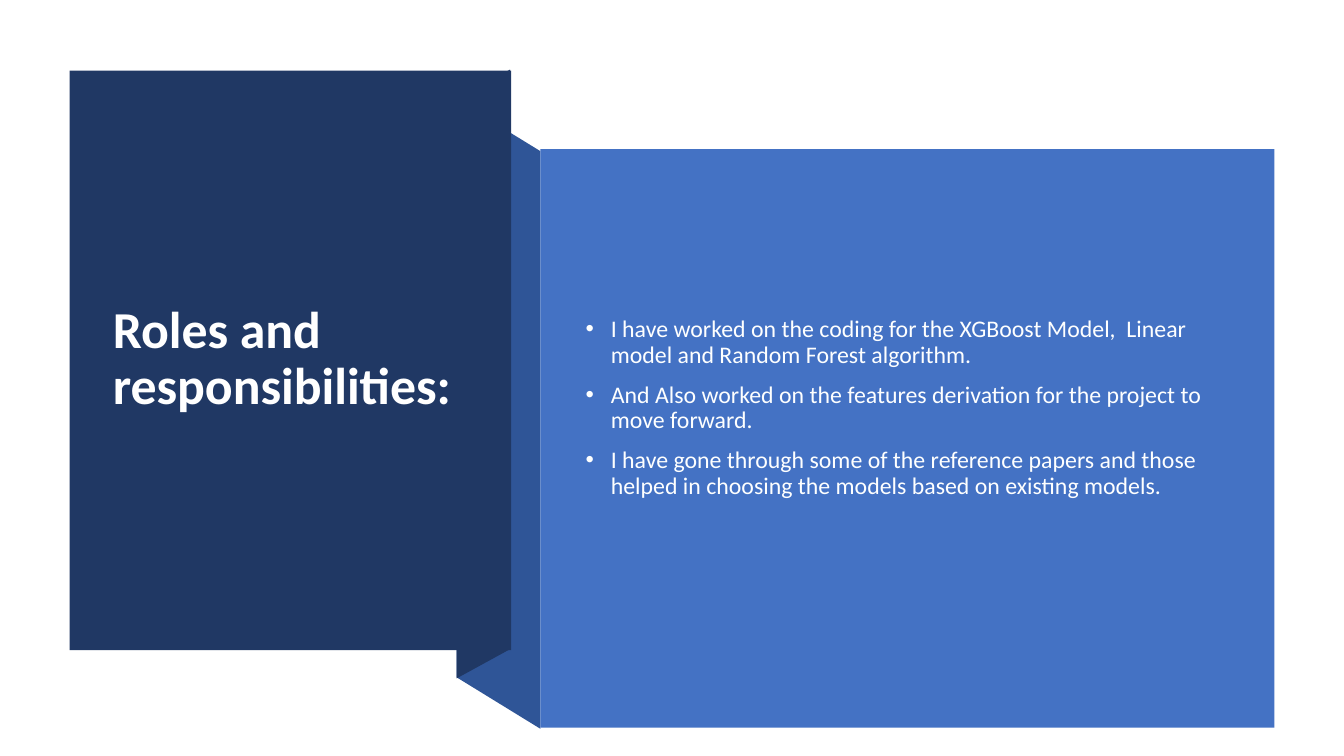
from pptx import Presentation
from pptx.dml.color import RGBColor
from pptx.enum.shapes import MSO_SHAPE
from pptx.enum.text import MSO_ANCHOR, PP_ALIGN
from pptx.oxml.ns import qn
from pptx.util import Pt
from lxml.etree import SubElement

# Content
HEADING = "Roles and responsibilities:"
DUTIES = [
    "I have worked on the coding for the XGBoost Model,  Linear model and Random Forest algorithm.",
    "And Also worked on the features derivation for the project to move forward.",
    "I have gone through some of the reference papers and those helped in choosing "
    "the models based on existing models.",
]

# Look
NAVY = RGBColor(0x20, 0x38, 0x64)
FOLD_BLUE = RGBColor(0x2F, 0x55, 0x97)
PANEL_BLUE = RGBColor(0x44, 0x72, 0xC4)
WHITE = RGBColor(0xFF, 0xFF, 0xFF)
DUTY_WHITE = RGBColor(0xFE, 0xFF, 0xFF)
FONT = "Calibri"

# Geometry in px, 100 to the inch
PX = 9144
SLIDE_SIZE = (1333, 750)
HEADING_PANEL = (69, 70, 438, 575)
DUTIES_PANEL = (536, 148, 728, 574)
HEADING_BOX = (102, 107, 371, 499)
DUTIES_BOX = (571, 188, 651, 474)
DUTIES_BOTTOM_INSET = 45
BULLET_INDENT = 25
RIBBON_FOLD = [(536, 723), (453, 672), (453, 99), (536, 150)]
HEADING_FOLD = [(506, 644), (453, 673), (453, 98), (506, 69)]


def emu(lengths):
    return [length * PX for length in lengths]


def paint(part, color):
    part.fill.solid()
    part.fill.fore_color.rgb = color
    part.line.fill.background()
    part.shadow.inherit = False


def add_fold(slide, corners, color):
    outline = slide.shapes.build_freeform(*corners[0], scale=PX)
    outline.add_line_segments(corners[1:], close=True)
    paint(outline.convert_to_shape(), color)


def add_panel(slide, bounds, color):
    paint(slide.shapes.add_shape(MSO_SHAPE.RECTANGLE, *emu(bounds)), color)


def add_text(slide, bounds, lines, size, color, bold=False, space_before=0):
    frame = slide.shapes.add_textbox(*emu(bounds)).text_frame
    frame.word_wrap = True
    frame.vertical_anchor = MSO_ANCHOR.MIDDLE
    for index, line in enumerate(lines):
        paragraph = frame.add_paragraph() if index else frame.paragraphs[0]
        paragraph.alignment = PP_ALIGN.LEFT
        paragraph.line_spacing = 0.9
        paragraph.space_before = Pt(space_before)
        run = paragraph.add_run()
        run.text = line
        run.font.name = FONT
        run.font.size = Pt(size)
        run.font.bold = bold
        run.font.color.rgb = color
    return frame


def add_bullets(frame):
    for paragraph in frame.paragraphs:
        properties = paragraph._p.get_or_add_pPr()
        properties.set("marL", str(BULLET_INDENT * PX))
        properties.set("indent", str(-BULLET_INDENT * PX))
        SubElement(properties, qn("a:buFont")).set("typeface", "Arial")
        SubElement(properties, qn("a:buChar")).set("char", "•")


def main():
    deck = Presentation()
    deck.slide_width, deck.slide_height = emu(SLIDE_SIZE)
    slide = deck.slides.add_slide(deck.slide_layouts[6])

    # Folded ribbon behind the heading
    add_fold(slide, RIBBON_FOLD, FOLD_BLUE)
    add_fold(slide, HEADING_FOLD, NAVY)

    # Heading
    add_panel(slide, HEADING_PANEL, NAVY)
    add_text(slide, HEADING_BOX, [HEADING], 37, WHITE, bold=True)

    # Duties
    add_panel(slide, DUTIES_PANEL, PANEL_BLUE)
    duties = add_text(slide, DUTIES_BOX, DUTIES, 17, DUTY_WHITE, space_before=10)
    duties.margin_bottom = DUTIES_BOTTOM_INSET * PX
    add_bullets(duties)

    deck.save("out.pptx")


if __name__ == "__main__":
    main()
